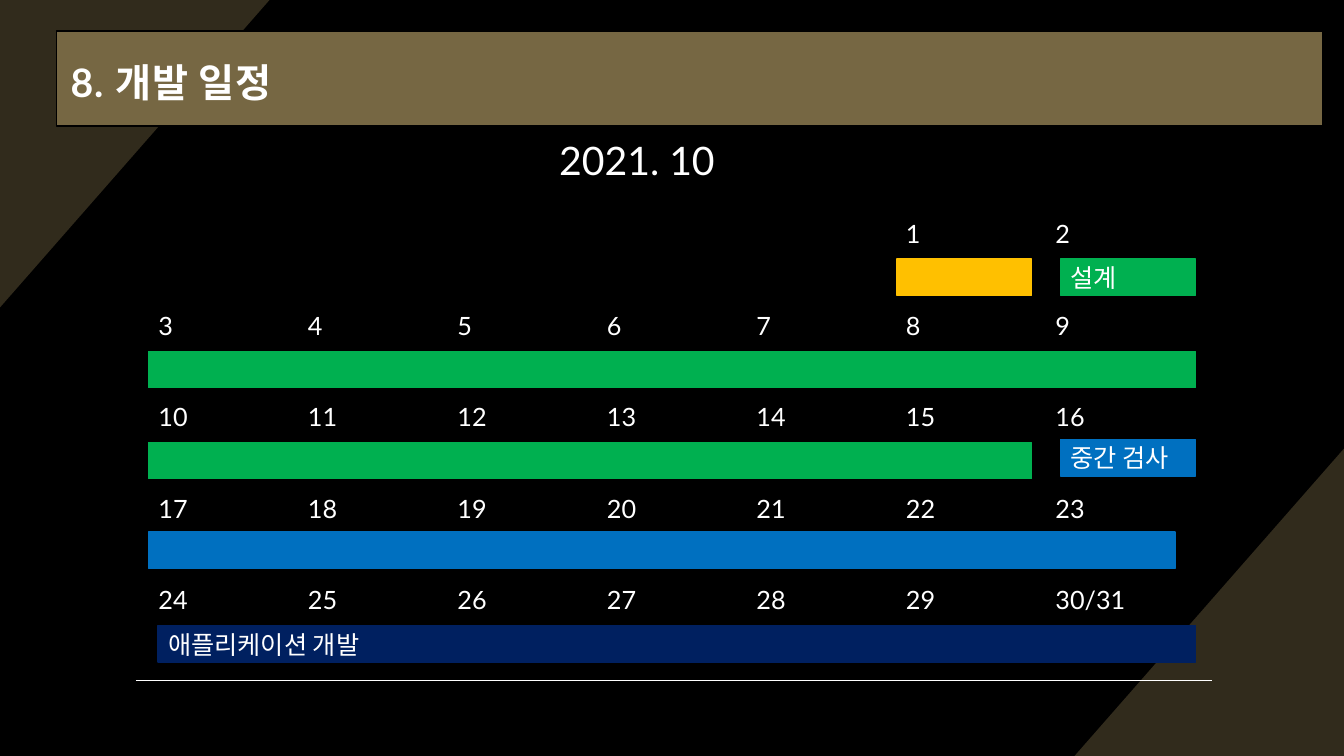
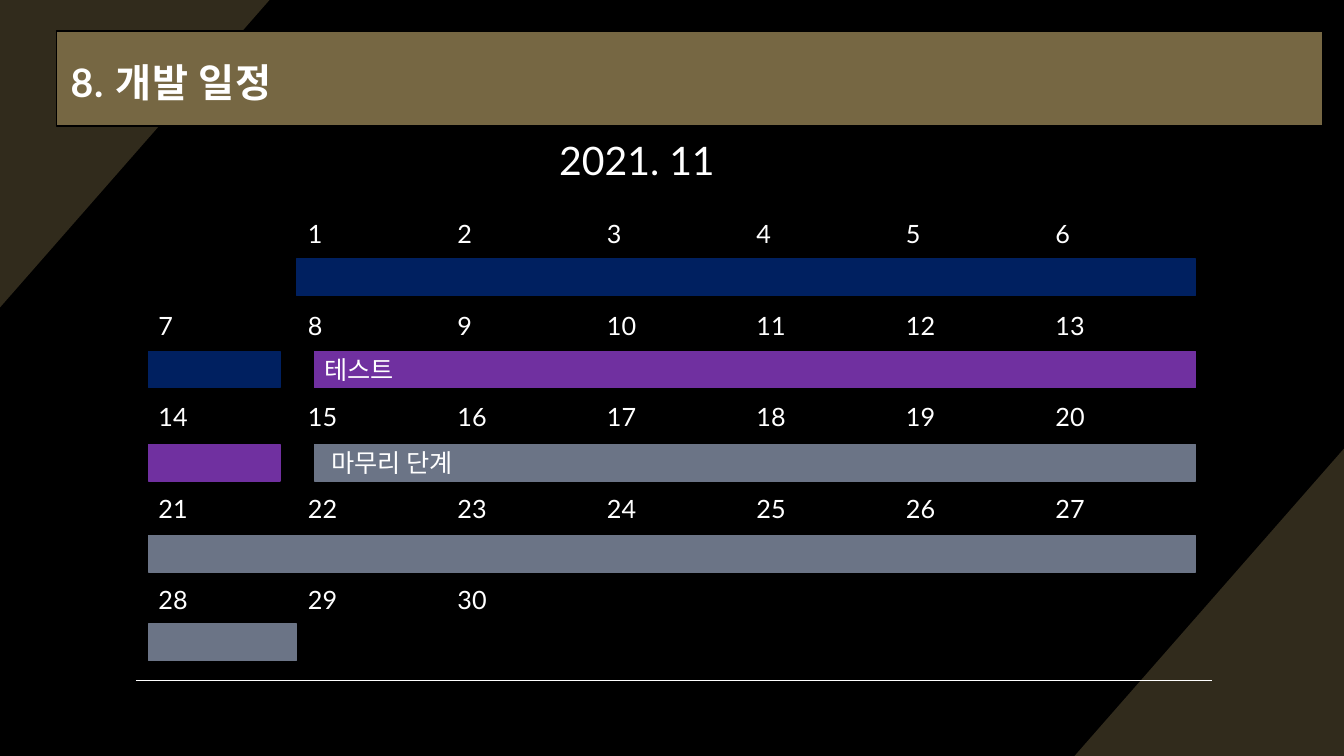
from pptx import Presentation
from pptx.dml.color import RGBColor
from pptx.enum.shapes import MSO_CONNECTOR, MSO_SHAPE
from pptx.enum.text import MSO_ANCHOR, PP_ALIGN
from pptx.oxml.ns import qn
from pptx.util import Pt
from lxml import etree

BLACK = RGBColor(0x00, 0x00, 0x00)
WHITE = RGBColor(0xFF, 0xFF, 0xFF)
CORNER = RGBColor(0x31, 0x2B, 0x1C)
BAND = RGBColor(0x76, 0x67, 0x43)
YELLOW = RGBColor(0xFF, 0xC0, 0x00)
GREEN = RGBColor(0x00, 0xB0, 0x50)
BLUE = RGBColor(0x00, 0x70, 0xC0)
NAVY = RGBColor(0x00, 0x20, 0x60)
PURPLE = RGBColor(0x70, 0x30, 0xA0)
GREY = RGBColor(0x6B, 0x74, 0x86)

FONT = "Lato"
NO_GRID_STYLE = "{2D5ABB26-0587-4C30-8999-92F81FD0307C}"
WEEKS, DAYS = 5, 7
LEFT, TOP, RIGHT = 106, 152.6, 854
COL_W, ROW_H = 106.8, 65.4
BAR_H = 26

# Month: heading, day labels from Sunday on, bars (left, right, top, colour, label, indent)
MONTHS = [
    ("2021. 10", [""] * 5 + list(range(1, 30)) + ["30/31"], [
        (640.8, 737, 185, YELLOW, "", 0),
        (757.4, RIGHT, 185, GREEN, "설계", 7.2),
        (LEFT, RIGHT, 251, GREEN, "", 0),
        (LEFT, 737, 316, GREEN, "", 0),
        (757.4, RIGHT, 314, BLUE, "중간 검사", 7.2),
        (LEFT, 839.5, 380, BLUE, "", 0),
        (113, RIGHT, 447, NAVY, "애플리케이션 개발", 7.2),
    ]),
    ("2021. 11", [""] + list(range(1, 31)) + [""] * 4, [
        (211.7, RIGHT, 185, NAVY, "", 0),
        (LEFT, 200, 251, NAVY, "", 0),
        (224.6, RIGHT, 251, PURPLE, "테스트", 7.2),
        (LEFT, 200, 317.5, PURPLE, "", 0),
        (224.6, RIGHT, 317.5, GREY, "마무리 단계", 12.2),
        (LEFT, RIGHT, 382.5, GREY, "", 0),
        (LEFT, 211.7, 445.7, GREY, "", 0),
    ]),
]


def style_text(p, size, bold=False):
    for r in p.runs:
        r.font.name = FONT
        r.font.size = Pt(size)
        r.font.bold = bold
        r.font.color.rgb = WHITE


def add_box(s, left, top, width, height, fill, line):
    sp = s.shapes.add_shape(MSO_SHAPE.RECTANGLE, Pt(left), Pt(top), Pt(width), Pt(height))
    sp.shadow.inherit = False
    sp.fill.solid()
    sp.fill.fore_color.rgb = fill
    sp.line.color.rgb = line
    sp.line.width = Pt(1)
    return sp


prs = Presentation()
prs.slide_width, prs.slide_height = Pt(960), Pt(540)
bg = prs.slide_master.background.fill
bg.solid()
bg.fore_color.rgb = BLACK

for month, days, bars in MONTHS:
    s = prs.slides.add_slide(prs.slide_layouts[5])

    # Corner triangles
    for start, *others in ([(960, 320.4), (960, 540), (767.5, 540)],
                           [(0, 219.6), (0, 0), (192.5, 0)]):
        builder = s.shapes.build_freeform(Pt(start[0]), Pt(start[1]))
        builder.add_line_segments([(Pt(x), Pt(y)) for x, y in others])
        sp = builder.convert_to_shape()
        sp.shadow.inherit = False
        sp.fill.solid()
        sp.fill.fore_color.rgb = CORNER
        sp.line.fill.background()

    # Bottom rule
    rule = s.shapes.add_connector(MSO_CONNECTOR.STRAIGHT, Pt(97), Pt(486), Pt(865.5), Pt(486))
    rule.line.color.rgb = WHITE
    rule.line.width = Pt(1)
    etree.SubElement(rule._element.spPr, qn("a:effectLst"))

    # Title on its band
    add_box(s, 40.3, 22.3, 904.3, 67.7, BAND, BLACK)
    title = s.shapes.title
    s.shapes._spTree.append(title._element)
    title.left, title.top, title.width, title.height = Pt(41.8), Pt(26.6), Pt(780), Pt(59)
    tf = title.text_frame
    tf.text = "8. 개발 일정"
    tf.vertical_anchor = MSO_ANCHOR.MIDDLE
    tf.margin_left = tf.margin_right = tf.margin_top = Pt(8.6)
    tf.margin_bottom = Pt(7.2)
    p = tf.paragraphs[0]
    p.alignment = PP_ALIGN.LEFT
    p.line_spacing = 1.1
    style_text(p, 28, bold=True)
    p.runs[0].font._element.set("spc", "70")

    # Month heading
    tf = s.shapes.add_textbox(Pt(392.4), Pt(93.6), Pt(127), Pt(41)).text_frame
    tf.word_wrap = True
    tf.text = month
    style_text(tf.paragraphs[0], 28)

    # Calendar
    table = s.shapes.add_table(WEEKS, DAYS, Pt(LEFT), Pt(TOP),
                               Pt(COL_W * DAYS), Pt(ROW_H * WEEKS)).table
    table.first_row = table.horz_banding = False
    table._tbl.tblPr.find(qn("a:tableStyleId")).text = NO_GRID_STYLE
    for col in table.columns:
        col.width = Pt(COL_W)
    for row in table.rows:
        row.height = Pt(ROW_H)
    for cell, day in zip(table.iter_cells(), days):
        cell.fill.background()
        cell.text = str(day)
        style_text(cell.text_frame.paragraphs[0], 18)

    # Schedule bars
    for left, right, top, color, label, indent in bars:
        sp = add_box(s, left, top, right - left, BAR_H, color, color)
        if label:
            tf = sp.text_frame
            tf.text = label
            tf.vertical_anchor = MSO_ANCHOR.MIDDLE
            tf.margin_left = Pt(indent)
            tf.margin_top = tf.margin_bottom = 0
            p = tf.paragraphs[0]
            p.alignment = PP_ALIGN.LEFT
            style_text(p, 18)

prs.save("out.pptx")
